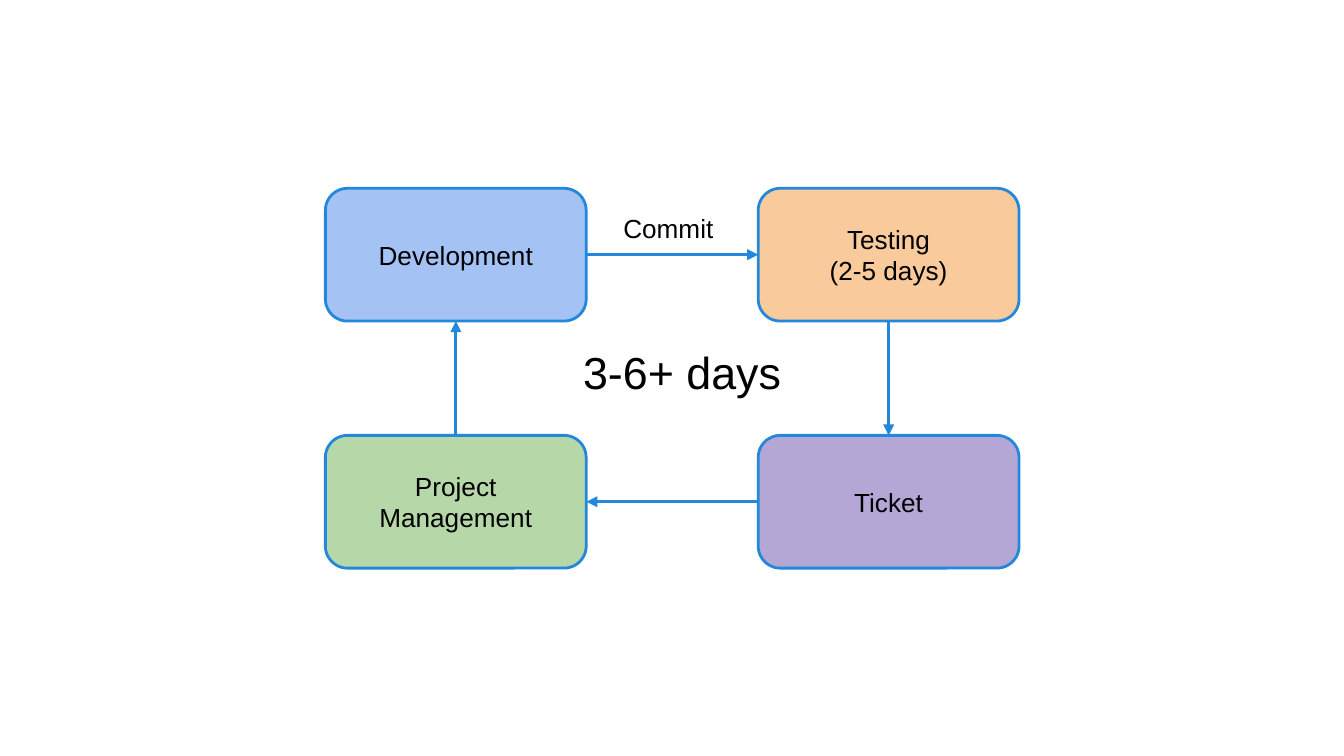
import pptx
import pptx.dml.color
import pptx.enum.shapes
import pptx.enum.text
import pptx.oxml
import pptx.oxml.ns
import pptx.util
from pptx.util import Cm

COLORS = {
    "development": "A4C2F4",
    "testing": "F9CB9C",
    "ticket": "B4A7D6",
    "management": "B6D7A8",
    "line": "2388DB",
    "text": "000000",
}
TOP, LEFT, BOTTOM, RIGHT = range(4)
BOX_WIDTH, BOX_HEIGHT = 4.93, 2.51
LEFT_COLUMN, RIGHT_COLUMN = 6.15, 14.33
TOP_ROW, BOTTOM_ROW = 3.56, 8.23


class Diagram:
    font_name = "Arial"
    line_width = 1.5
    inset = 0.25

    def __init__(self, slide):
        self.slide = slide

    def color(self, name):
        return pptx.dml.color.RGBColor.from_string(COLORS[name])

    def style_line(self, line):
        line.color.rgb = self.color("line")
        line.width = pptx.util.Pt(self.line_width)

    def add_text(self, shape, lines, size, alignment, anchor):
        frame = shape.text_frame
        frame.word_wrap = True
        frame.vertical_anchor = anchor
        frame.margin_left = frame.margin_right = Cm(self.inset)
        frame.margin_top = frame.margin_bottom = Cm(self.inset)
        for index, text in enumerate(lines):
            paragraph = frame.add_paragraph() if index else frame.paragraphs[0]
            paragraph.alignment = alignment
            run = paragraph.add_run()
            run.text = text
            run.font.name = self.font_name
            run.font.size = pptx.util.Pt(size)
            run.font.color.rgb = self.color("text")

    def box(self, left, top, fill, *lines):
        shape = self.slide.shapes.add_shape(
            pptx.enum.shapes.MSO_SHAPE.ROUNDED_RECTANGLE,
            Cm(left), Cm(top), Cm(BOX_WIDTH), Cm(BOX_HEIGHT),
        )
        shape.shadow.inherit = False
        shape.fill.solid()
        shape.fill.fore_color.rgb = self.color(fill)
        self.style_line(shape.line)
        self.add_text(shape, lines, 14, pptx.enum.text.PP_ALIGN.CENTER,
                      pptx.enum.text.MSO_ANCHOR.MIDDLE)
        return shape

    def label(self, left, top, width, height, text, size):
        shape = self.slide.shapes.add_textbox(Cm(left), Cm(top), Cm(width), Cm(height))
        self.add_text(shape, [text], size, pptx.enum.text.PP_ALIGN.LEFT,
                      pptx.enum.text.MSO_ANCHOR.TOP)

    def arrow(self, start, start_side, end, end_side):
        connector = self.slide.shapes.add_connector(
            pptx.enum.shapes.MSO_CONNECTOR.STRAIGHT, 0, 0, 0, 0
        )
        connector.begin_connect(start, start_side)
        connector.end_connect(end, end_side)
        self.style_line(connector.line)
        properties = connector._element.spPr
        head = pptx.oxml.parse_xml(
            f'<a:tailEnd {pptx.oxml.ns.nsdecls("a")} type="triangle"/>'
        )
        properties.find(pptx.oxml.ns.qn("a:ln")).append(head)
        properties.append(
            pptx.oxml.parse_xml(f'<a:effectLst {pptx.oxml.ns.nsdecls("a")}/>')
        )


def main():
    presentation = pptx.Presentation()
    presentation.slide_width = Cm(25.4)
    presentation.slide_height = Cm(14.29)
    diagram = Diagram(presentation.slides.add_slide(presentation.slide_layouts[6]))

    development = diagram.box(LEFT_COLUMN, TOP_ROW, "development", "Development")
    testing = diagram.box(RIGHT_COLUMN, TOP_ROW, "testing", "Testing", "(2-5 days)")
    ticket = diagram.box(RIGHT_COLUMN, BOTTOM_ROW, "ticket", "Ticket")
    management = diagram.box(LEFT_COLUMN, BOTTOM_ROW, "management", "Project Management")

    diagram.arrow(development, RIGHT, testing, LEFT)
    diagram.arrow(testing, BOTTOM, ticket, TOP)
    diagram.arrow(ticket, LEFT, management, RIGHT)
    diagram.arrow(management, TOP, development, BOTTOM)

    diagram.label(11.53, 3.91, 2.74, 0.36, "Commit", 14)
    diagram.label(10.77, 6.27, 4.62, 1.3, "3-6+ days", 24)

    presentation.save("out.pptx")


if __name__ == "__main__":
    main()
